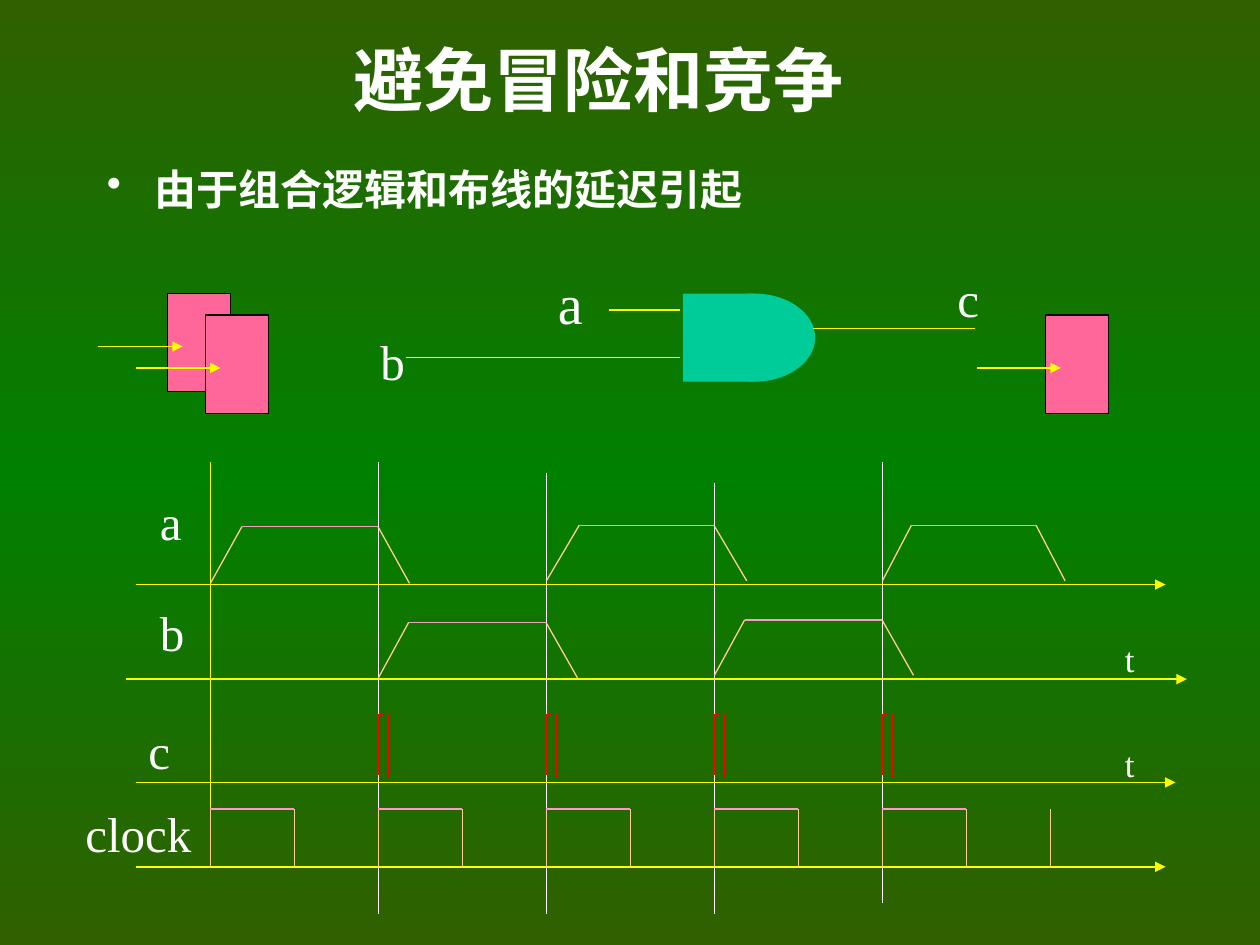
from copy import deepcopy
from pptx import Presentation
from pptx.dml.color import RGBColor
from pptx.enum.shapes import MSO_CONNECTOR, MSO_SHAPE
from pptx.enum.text import MSO_ANCHOR, PP_ALIGN
from pptx.oxml.ns import qn
from pptx.util import Inches, Pt
from lxml import etree

STRAIGHT = MSO_CONNECTOR.STRAIGHT
RECT, OVAL = MSO_SHAPE.RECTANGLE, MSO_SHAPE.OVAL
TOP, MIDDLE = MSO_ANCHOR.TOP, MSO_ANCHOR.MIDDLE
LEFT, CENTER = PP_ALIGN.LEFT, PP_ALIGN.CENTER
FONT = "Times New Roman"
COLORS = {
    "edge": "306000", "mid": "008000", "white": "FFFFFF", "black": "000000",
    "yellow": "FFFF00", "pink": "FF99CC", "peach": "FFCC99",
    "red": "FF0000", "teal": "00CC99", "rose": "FF6699",
}
PERIOD = 4 / 3


def tint(name):
    """Return the named colour."""
    return RGBColor.from_string(COLORS[name])


def child(parent, tag, **attrs):
    """Append an XML element and return it."""
    return etree.SubElement(parent, qn(tag), attrs)


def paint(slide):
    """Fill the background with a vertical gradient."""
    fill = slide.background.fill
    fill.gradient()
    fill.gradient_angle = 90
    stops = fill.gradient_stops
    stops[0].color.rgb, stops[1].color.rgb = tint("edge"), tint("mid")
    stops[0].position, stops[1].position = 0, 0.5
    first = slide.background._cSld.find(".//" + qn("a:gs"))
    last = deepcopy(first)
    last.set("pos", "100000")
    first.getparent().append(last)


def label(shapes, box, text, size, bold=False, shade=True, anchor=TOP, align=LEFT):
    """Add white text in a box and return its paragraph."""
    frame = shapes.add_textbox(*map(Inches, box)).text_frame
    frame.word_wrap = True
    frame.vertical_anchor = anchor
    para = frame.paragraphs[0]
    para.text = text
    para.alignment = align
    run = para.runs[0]
    font = run.font
    font.name, font.size, font.bold = FONT, Pt(size), bold
    font.color.rgb = tint("white")
    if shade:
        effects = etree.Element(qn("a:effectLst"))
        font._rPr.find(qn("a:solidFill")).addnext(effects)
        shadow = child(effects, "a:outerShdw", dist="35921", dir="2700000")
        child(shadow, "a:srgbClr", val=COLORS["black"])
    return para


def line(shapes, box, start, end, color="yellow", width=0.75, arrow=False):
    """Draw a line between two points relative to a box."""
    left, top = box[:2]
    ends = [Inches(v) for x, y in (start, end) for v in (left + x, top + y)]
    wire = shapes.add_connector(STRAIGHT, *ends)
    wire.line.color.rgb = tint(color)
    wire.line.width = Pt(width)
    if arrow:
        child(wire.line._ln, "a:tailEnd", type="triangle")
    child(wire._element.spPr, "a:effectLst")


def block(shapes, box, kind, color, border=None):
    """Draw a filled shape."""
    shape = shapes.add_shape(kind, *map(Inches, box))
    shape.shadow.inherit = False
    shape.fill.solid()
    shape.fill.fore_color.rgb = tint(color)
    if border:
        shape.line.color.rgb = tint(border)
        shape.line.width = Pt(0.75)
    else:
        shape.line.fill.background()


def title(shapes, box):
    """Write the slide title."""
    label(shapes, box, "避免冒险和竞争", 40, True, anchor=MIDDLE, align=CENTER)


def bullet(shapes, box):
    """Write the bulleted statement."""
    para = label(shapes, box, "由于组合逻辑和布线的延迟引起", 24, True)
    para.space_before = Pt(6)
    props = para._p.get_or_add_pPr()
    props.set("marL", str(Inches(0.38)))
    props.set("indent", str(Inches(-0.38)))
    child(child(props, "a:buClr"), "a:srgbClr", val=COLORS["white"])
    child(props, "a:buChar", char="•")


def circuit(shapes, box):
    """Draw the registers and the gate between them."""
    group = shapes.add_group_shape().shapes
    left, top = box[:2]
    for x, y, w, kind in ((4.63, 0.25, 0.57, RECT), (4.71, 0.25, 0.97, OVAL)):
        block(group, (left + x, top + y, w, 0.7), kind, "teal")
    for start, end in (
        ((2.43, 0.76), (4.61, 0.76)),
        ((4.04, 0.38), (4.61, 0.38)),
        ((5.66, 0.53), (6.95, 0.53)),
    ):
        line(group, box, start, end)
    for text, x, y, w, size in (
        ("a", 3.54, 0, 0.42, 32), ("b", 2.13, 0.5, 0.89, 28), ("c", 6.71, 0, 0.5, 28),
    ):
        label(group, (left + x, top + y, w, 0.57), text, size, shade=False)
    for x, y in ((0.54, 0.25), (0.84, 0.42), (7.51, 0.42)):
        block(group, (left + x, top + y, 0.5, 0.78), RECT, "rose", "black")
        line(group, box, (x - 0.55, y + 0.42), (x + 0.12, y + 0.42), arrow=True)


def pulse(shapes, box, x, rise, fall, end, top, foot):
    """Draw one pulse with sloping or upright sides."""
    line(shapes, box, (x, foot), (x + rise, top), "peach")
    line(shapes, box, (x + rise, top), (x + fall, top), "pink")
    line(shapes, box, (x + fall, top), (x + end, foot), "peach")


def spike(shapes, box, x, top):
    """Draw one narrow glitch."""
    line(shapes, box, (x, top), (x + 0.04, top), "red")
    for step, tall in ((0, 0.48), (0.04, 0.5), (0.08, 0.5)):
        line(shapes, box, (x + step, top), (x + step, top + tall), "red")


def timing(shapes, box):
    """Draw the timing chart of the signals and the clock."""
    group = shapes.add_group_shape().shapes
    left, top = box[:2]
    ticks = [1.1 + PERIOD * i for i in range(6)]
    line(group, box, (ticks[0], 0), (ticks[0], 2.91))
    guides = ((0, 3.58), (0.08, 3.58), (0.16, 3.58), (0, 3.5))
    for x, (high, low) in zip(ticks[1:], guides):
        line(group, box, (x, high), (x, low), "white", 0.5)
        spike(group, box, x, 2)
    for start, end, y in (
        (0.51, 8.68, 0.97), (0.43, 8.85, 1.72), (0.51, 8.76, 2.54), (0.51, 8.68, 3.21),
    ):
        line(group, box, (start, y), (end, y), arrow=True)
    for tick, rise, fall, end, high, low in (
        (0, 0.25, 1.33, 1.58, 0.51, 0.96),
        (2, 0.26, 1.33, 1.59, 0.5, 0.94),
        (4, 0.23, 1.22, 1.45, 0.5, 0.94),
        (1, 0.24, 1.33, 1.58, 1.27, 1.71),
        (3, 0.24, 1.33, 1.58, 1.25, 1.69),
    ):
        pulse(group, box, ticks[tick], rise, fall, end, high, low)
    for x in ticks[:5]:
        pulse(group, box, x, 0, PERIOD / 2, PERIOD / 2, 2.75, 3.21)
    line(group, box, (ticks[5], 2.75), (ticks[5], 3.21), "peach")
    for text, x, y, w, size in (
        ("a", 0.6, 0.18, 0.5, 28), ("b", 0.6, 1.06, 0.42, 28),
        ("c", 0.51, 2, 0.5, 28), ("clock", 0.01, 2.66, 1.17, 28),
        ("t", 8.26, 1.34, 0.5, 20), ("t", 8.26, 2.17, 0.5, 20),
    ):
        label(group, (left + x, top + y, w, 0.57), text, size)


def main():
    """Build and save the slide."""
    deck = Presentation()
    deck.slide_width, deck.slide_height = Inches(10), Inches(7.5)
    slide = deck.slides.add_slide(deck.slide_layouts[6])
    paint(slide)
    title(slide.shapes, (0.5, 0, 8.5, 1.25))
    bullet(slide.shapes, (0.75, 1.25, 8.5, 0.58))
    timing(slide.shapes, (0.57, 3.67, 8.85, 3.58))
    circuit(slide.shapes, (0.79, 2.08, 8.01, 1.2))
    deck.save("out.pptx")


if __name__ == "__main__":
    main()
